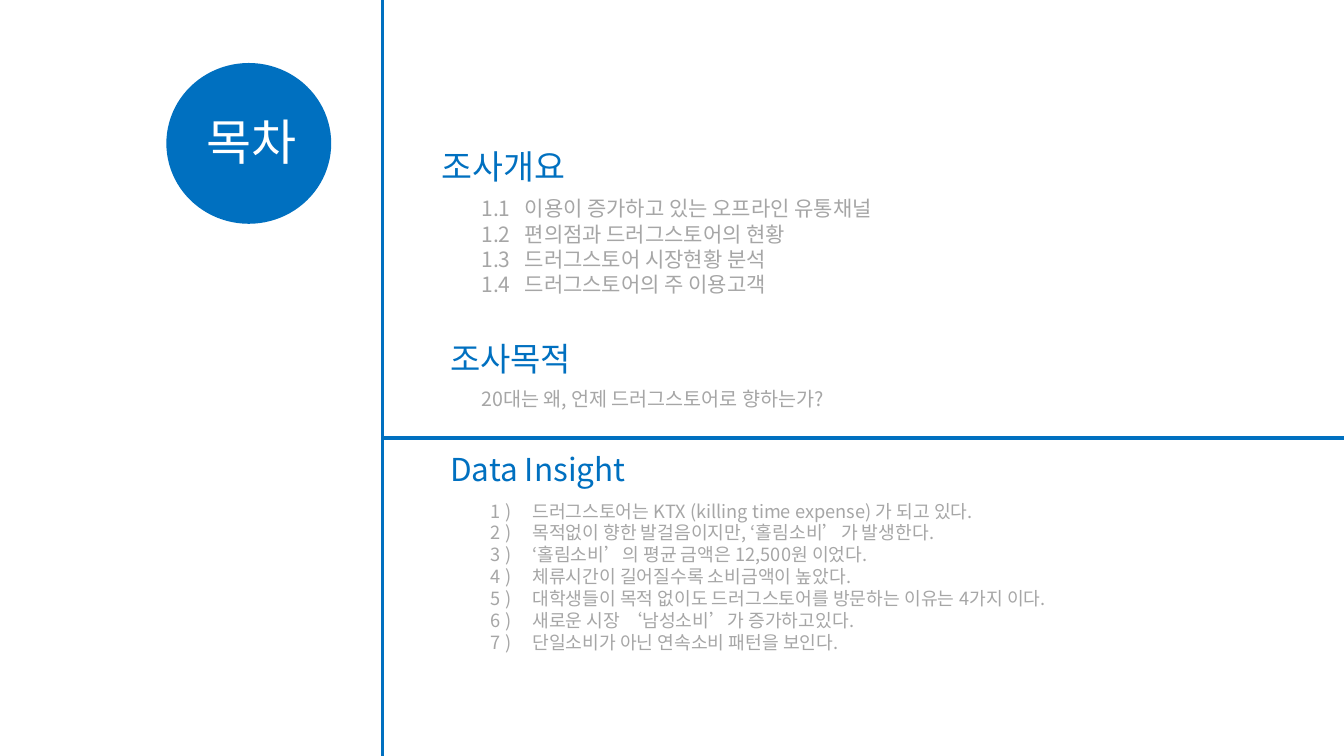
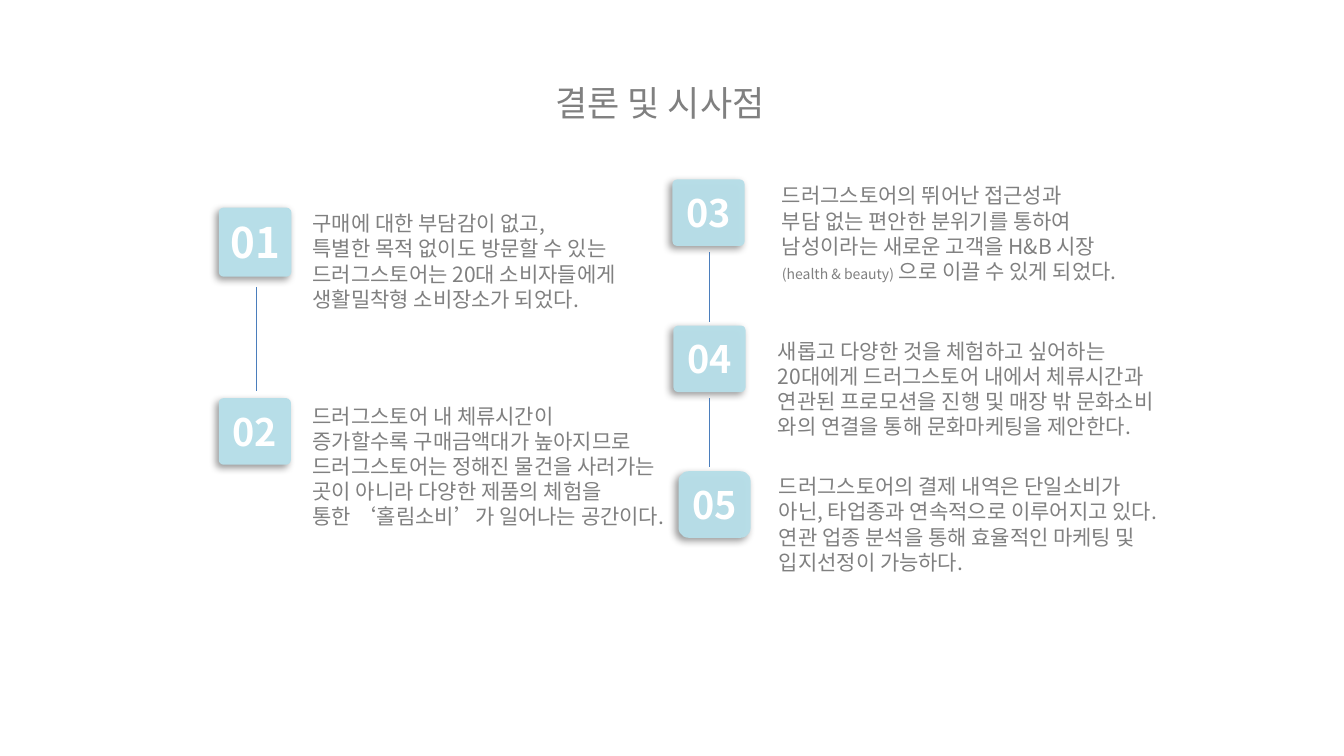
from lxml import etree
from pptx import Presentation
from pptx.dml.color import RGBColor
from pptx.enum import shapes, text
from pptx.oxml import ns
from pptx.util import Inches, Pt

WIDTH, HEIGHT = 26.66, 15
FONT = "Noto Sans CJK KR"
BLUE, SILVER, GRAY = "0070C0", "A6A6A6", "808080"
AQUA, THREAD, WHITE = "B7DEE8", "4B7EBC", "FFFFFF"


def color(value):
    return RGBColor.from_string(value)


def add_element(parent, tag, **attributes):
    return etree.SubElement(parent, ns.qn(tag), attributes)


class Deck:
    def __init__(self):
        self.deck = Presentation()
        self.deck.slide_width = Inches(WIDTH)
        self.deck.slide_height = Inches(HEIGHT)
        self.page = None

    def add_page(self):
        self.page = self.deck.slides.add_slide(self.deck.slide_layouts[6])

    def style(self, paragraph, size, ink, bold=False):
        paragraph.font.size = Pt(size)
        paragraph.font.bold = bold
        paragraph.font.color.rgb = color(ink)
        paragraph.font.name = FONT
        add_element(paragraph.font._element, "a:ea", typeface=FONT)

    def label(self, left, top, width, height, lines, size, ink, tab=None, hanging=None):
        box = self.page.shapes.add_textbox(Inches(left), Inches(top), Inches(width), Inches(height))
        frame = box.text_frame
        frame.word_wrap = True
        for index, line in enumerate(lines):
            paragraph = frame.paragraphs[0] if index == 0 else frame.add_paragraph()
            properties = paragraph._p.get_or_add_pPr()
            paragraph.line_spacing = Pt(size * 1.2)
            if hanging:
                start, body = hanging
                properties.set("marL", str(Inches(body)))
                properties.set("indent", str(Inches(start - body)))
            if tab:
                stops = add_element(properties, "a:tabLst")
                add_element(stops, "a:tab", pos=str(Inches(tab)), algn="l")
            self.style(paragraph, size, ink)
            for part in [line] if isinstance(line, str) else line:
                words, part_size = (part, None) if isinstance(part, str) else part
                span = paragraph.add_run()
                span.text = words
                if part_size:
                    span.font.size = Pt(part_size)

    def disc(self, left, top, width, height, fill):
        disc = self.page.shapes.add_shape(
            shapes.MSO_SHAPE.OVAL, Inches(left), Inches(top), Inches(width), Inches(height))
        disc.shadow.inherit = False
        disc.fill.solid()
        disc.fill.fore_color.rgb = color(fill)
        disc.line.fill.background()

    def tile(self, left, top, number, width=1.43, height=1.32, size=54, corner=0.07, alpha=None):
        tile = self.page.shapes.add_shape(
            shapes.MSO_SHAPE.ROUNDED_RECTANGLE,
            Inches(left), Inches(top), Inches(width), Inches(height))
        tile.adjustments[0] = corner
        tile.fill.solid()
        tile.fill.fore_color.rgb = color(AQUA)
        tile.line.fill.background()
        if alpha:
            paint = tile._element.spPr.find(".//" + ns.qn("a:srgbClr"))
            add_element(paint, "a:alpha", val=str(alpha * 1000))
        tile.shadow.inherit = False
        effects = tile._element.spPr.find(ns.qn("a:effectLst"))
        shadow = add_element(effects, "a:outerShdw", blurRad=str(Pt(11)), dist=str(Pt(6)),
                             dir=str(135 * 60000), algn="tr", rotWithShape="0")
        shade = add_element(shadow, "a:srgbClr", val="000000")
        add_element(shade, "a:alpha", val="40000")
        frame = tile.text_frame
        frame.vertical_anchor = text.MSO_ANCHOR.MIDDLE
        paragraph = frame.paragraphs[0]
        paragraph.text = number
        paragraph.alignment = text.PP_ALIGN.CENTER
        self.style(paragraph, size, WHITE, bold=True)

    def rule(self, start, end, ink, weight):
        rule = self.page.shapes.add_connector(
            shapes.MSO_CONNECTOR.STRAIGHT, *[Inches(value) for value in (*start, *end)])
        rule.line.color.rgb = color(ink)
        rule.line.width = Pt(weight)
        add_element(rule._element.spPr, "a:effectLst")


def contents(deck):
    deck.add_page()
    deck.disc(3.3, 1.25, 3.27, 3.19, BLUE)
    deck.label(4, 2.17, 2.44, 1.28, ["목차"], 70, WHITE)
    insights = [
        "드러그스토어는 KTX (killing time expense) 가 되고 있다.",
        "목적없이 향한 발걸음이지만, ‘홀림소비’가 발생한다.",
        "‘홀림소비’의 평균 금액은 12,500원 이었다.",
        "체류시간이 길어질수록 소비금액이 높았다.",
        "대학생들이 목적 없이도 드러그스토어를 방문하는 이유는 4가지 이다.",
        "새로운 시장 ‘남성소비’가 증가하고있다.",
        "단일소비가 아닌 연속소비 패턴을 보인다.",
    ]
    deck.label(9.16, 9.87, 15.32, 3.15,
               [f"{number} )\t{line}" for number, line in enumerate(insights, 1)],
               26, SILVER, hanging=(0.48, 1.3))
    overview = [
        "이용이 증가하고 있는 오프라인 유통채널",
        "편의점과 드러그스토어의 현황",
        "드러그스토어 시장현황 분석",
        "드러그스토어의 주 이용고객",
    ]
    deck.label(9.45, 3.84, 7.99, 2.64,
               [f"1.{number}\t{line}" for number, line in enumerate(overview, 1)],
               30, SILVER, tab=0.86)
    deck.label(8.83, 8.87, 6.25, 1.16, ["Data Insight"], 45, BLUE)
    deck.label(8.83, 6.66, 14.25, 0.91, ["조사목적"], 47, BLUE)
    deck.label(9.45, 7.63, 8.68, 0.88, ["20대는 왜, 언제 드러그스토어로 향하는가?"], 28, SILVER)
    deck.label(8.66, 2.85, 5.75, 1.25, ["조사개요"], 48, BLUE)
    deck.rule((WIDTH, 8.69), (7.58, 8.69), BLUE, 4.5)
    deck.rule((7.58, HEIGHT), (7.58, 0), BLUE, 4.5)


def conclusions(deck):
    deck.add_page()
    deck.label(10.92, 1.57, 8.62, 0.94, ["결론 및 시사점"], 50, GRAY)
    deck.tile(4.34, 4.12, "01", width=1.44, height=1.37, size=60)
    deck.tile(4.34, 7.9, "02")
    deck.tile(13.34, 3.56, "03", alpha=98)
    deck.tile(13.36, 6.46, "04", alpha=98)
    deck.tile(13.46, 9.35, "05", corner=0.15, alpha=98)
    findings = [
        (6.1, 4.13, 7.95, [
            "구매에 대한 부담감이 없고,",
            "특별한 목적 없이도 방문할 수 있는",
            "드러그스토어는 20대 소비자들에게",
            "생활밀착형 소비장소가 되었다."]),
        (6.1, 7.95, 9.93, [
            "드러그스토어 내 체류시간이",
            "증가할수록 구매금액대가 높아지므로",
            "드러그스토어는 정해진 물건을 사러가는",
            "곳이 아니라 다양한 제품의 체험을",
            "통한 ‘홀림소비’가 일어나는 공간이다."]),
        (15.41, 3.58, 7.95, [
            "드러그스토어의 뛰어난 접근성과",
            "부담 없는 편안한 분위기를 통하여",
            "남성이라는 새로운 고객을 H&B 시장",
            [("(health & beauty)", 20), " 으로 이끌 수 있게 되었다."]]),
        (15.33, 6.66, 8.68, [
            "새롭고 다양한 것을 체험하고 싶어하는",
            "20대에게 드러그스토어 내에서 체류시간과",
            "연관된 프로모션을 진행 및 매장 밖 문화소비",
            "와의 연결을 통해 문화마케팅을 제안한다."]),
        (15.35, 9.35, 9.93, [
            "드러그스토어의 결제 내역은 단일소비가",
            "아닌, 타업종과 연속적으로 이루어지고 있다.",
            "연관 업종 분석을 통해 효율적인 마케팅 및",
            "입지선정이 가능하다."]),
    ]
    for left, top, width, lines in findings:
        deck.label(left, top, width, len(lines) * 0.5 + 0.12, lines, 30, GRAY)
    for x, top, bottom in [(5.08, 5.69, 7.75), (14.06, 5.01, 6.38), (14.06, 7.9, 9.26)]:
        deck.rule((x, top), (x, bottom), THREAD, 0.75)


def main():
    deck = Deck()
    contents(deck)
    conclusions(deck)
    deck.deck.save("out.pptx")


if __name__ == "__main__":
    main()
